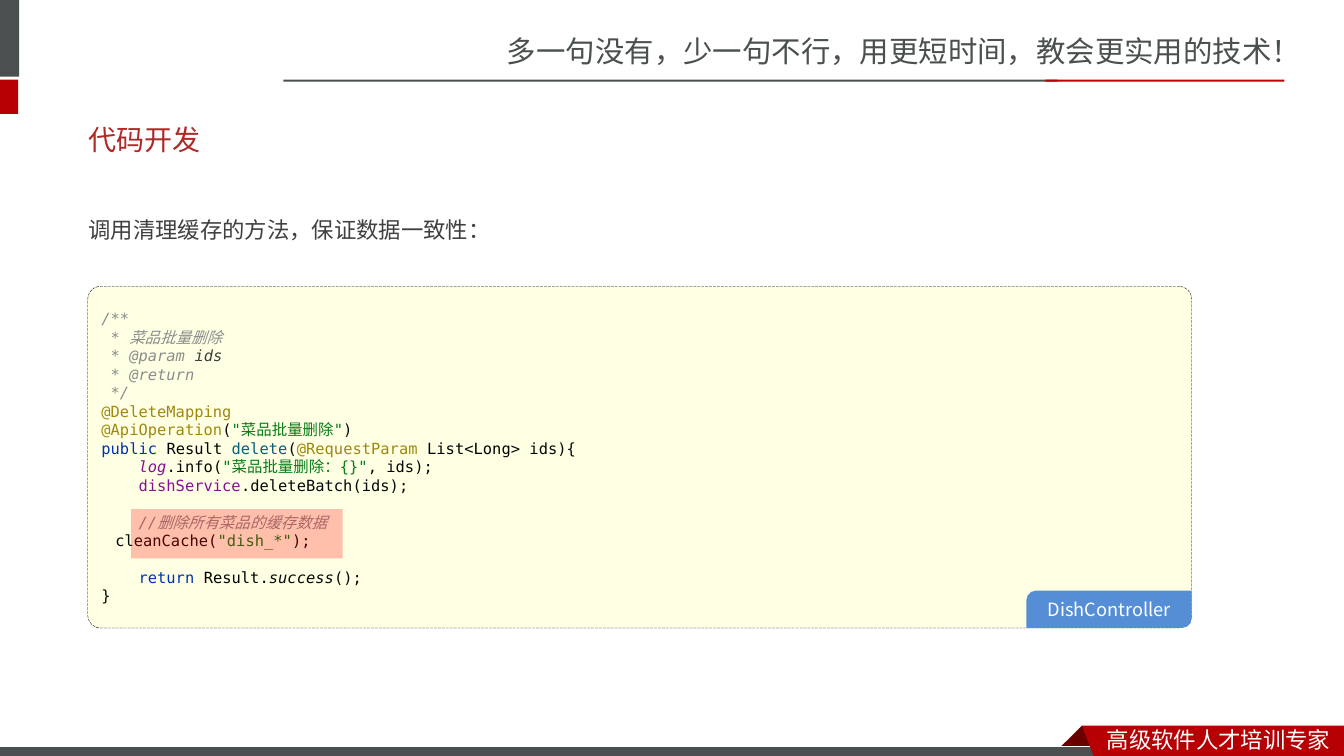
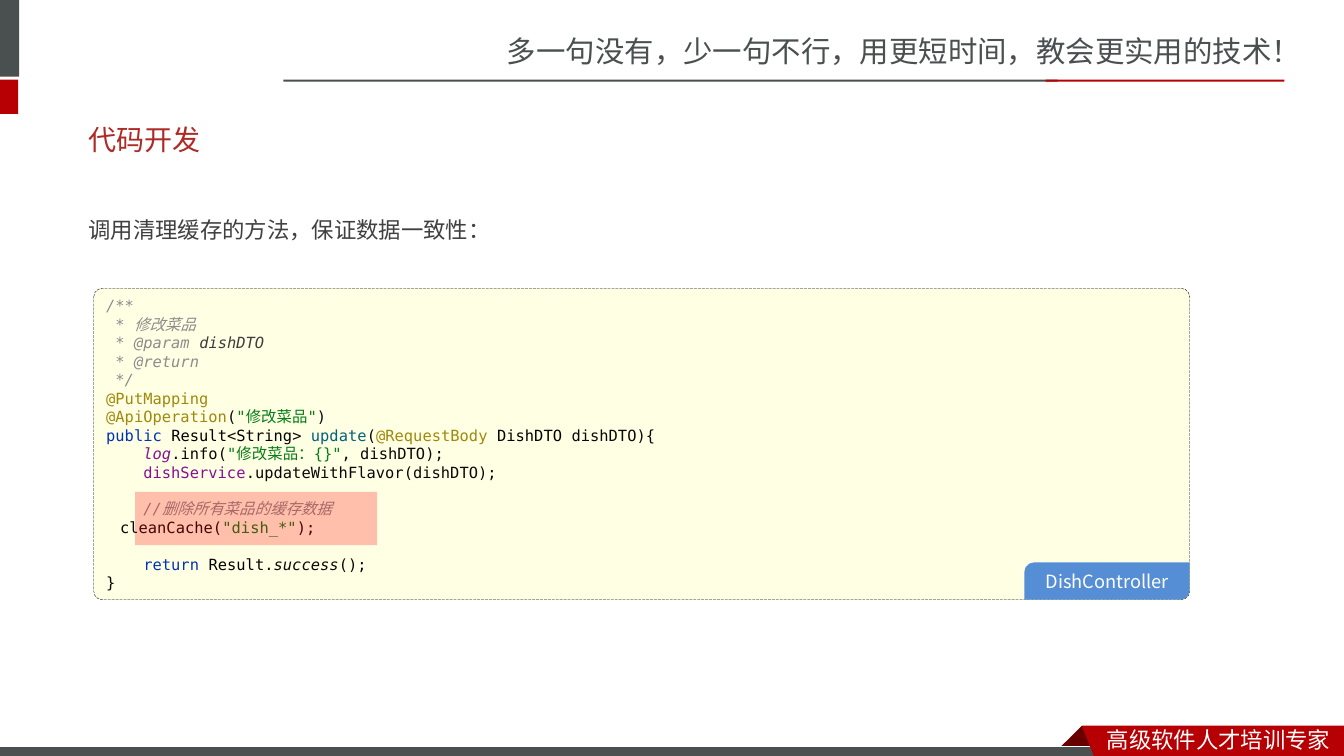
from lxml.etree import SubElement
from pptx import Presentation
from pptx.dml.color import RGBColor
from pptx.enum.dml import MSO_LINE
from pptx.enum.shapes import MSO_SHAPE as SHAPE
from pptx.enum.text import MSO_ANCHOR as ANCHOR, PP_ALIGN as ALIGN
from pptx.oxml.ns import qn
from pptx.util import Inches, Pt

SLATE = RGBColor(0x49, 0x50, 0x4F)
RED = RGBColor(0xB6, 0x00, 0x04)
MAROON = RGBColor(0x68, 0x00, 0x00)
BRICK = RGBColor(0xAD, 0x2A, 0x26)
WHITE = RGBColor(0xFF, 0xFF, 0xFF)
BLACK = RGBColor(0x00, 0x00, 0x00)
CREAM = RGBColor(0xFF, 0xFF, 0xE4)
BLUE = RGBColor(0x55, 0x8E, 0xD5)
MARK = RGBColor(0xFF, 0x00, 0x00)
TEXT = RGBColor(0x40, 0x40, 0x40)
INK = RGBColor(0x08, 0x08, 0x08)
GREY = RGBColor(0x8C, 0x8C, 0x8C)
DARK = RGBColor(0x3D, 0x3D, 0x3D)
OLIVE = RGBColor(0x9E, 0x88, 0x0D)
GREEN = RGBColor(0x06, 0x7D, 0x17)
NAVY = RGBColor(0x00, 0x33, 0xB3)
TEAL = RGBColor(0x00, 0x62, 0x7A)
PURPLE = RGBColor(0x87, 0x10, 0x94)

SANS, BODY, HEAD = "Noto Sans CJK SC", "Noto Sans CJK JP", "Roboto"
MONO = "DejaVu Sans Mono"

# Code styles: colour, italic, font
STYLES = {
    "doc": (GREY, True, MONO), "doczh": (GREY, True, SANS),
    "param": (DARK, True, MONO), "note": (OLIVE, False, MONO),
    "str": (GREEN, False, MONO), "strzh": (GREEN, False, SANS),
    "key": (NAVY, False, MONO), "type": (BLACK, False, MONO),
    "func": (TEAL, False, MONO), "field": (PURPLE, False, MONO),
    "log": (PURPLE, True, MONO), "call": (INK, True, MONO),
    "code": (INK, False, MONO), "pad": (INK, False, SANS),
}


def dress(font, name, size, color):
    """Set Latin and East Asian face, size and colour."""
    font.name, font.size = name, Pt(size)
    font.color.rgb = color
    SubElement(font._rPr, qn("a:ea"), typeface=name)


def paint(shape, fill, line=None):
    """Give a shape a flat fill, without shadow."""
    shape.shadow.inherit = False
    shape.fill.solid()
    shape.fill.fore_color.rgb = fill
    if line is None:
        shape.line.fill.background()
    else:
        shape.line.color.rgb = line
    return shape


prs = Presentation()
prs.slide_width, prs.slide_height = Inches(13.33), Inches(7.5)
layout = prs.slide_layouts[5]
for holder in list(layout.placeholders):
    if holder.placeholder_format.idx:
        layout.shapes.element.remove(holder.element)

# Header and footer: drawn on the first slide, then moved to the layout
first = prs.slides.add_slide(layout)
bands = [
    ((-0.06, 0, 0.25, 0.76), SLATE, None),
    ((-0.06, 0.79, 0.24, 0.34), RED, None),
    ((2.81, 0.79, 7.68, 0.02), SLATE, None),
    ((10.37, 0.79, 2.37, 0.02), RED, None),
    ((-0.01, 7.41, 11, 0.12), SLATE, WHITE),
]
fold = [(10.73, 7.2), (10.95, 7.42), (10.94, 7.43), (10.52, 7.43), (10.51, 7.42)]
ribbon = [(10.73, 7.2), (13.33, 7.2), (13.33, 7.54), (10.86, 7.53)]
labels = [
    ((4.93, 0.28, 8.41, 0.47), "多一句没有，少一句不行，用更短时间，教会更实用的技术！", 21, SLATE),
    ((10.88, 7.15, 2.45, 0.37), "高级软件人才培训专家", 16, WHITE),
]
outlines = []
for points, color in [(fold, MAROON), (ribbon, RED)]:
    start, *rest = [(Inches(x), Inches(y)) for x, y in points]
    pen = first.shapes.build_freeform(*start)
    pen.add_line_segments(rest, close=True)
    outlines.append(paint(pen.convert_to_shape(), color))
for spot, color, edge in bands:
    band = paint(first.shapes.add_shape(SHAPE.RECTANGLE, *map(Inches, spot)), color, edge)
    if edge is not None:
        band.line.width = Pt(0.75)
# The ribbon lies over the footer band
first.shapes.element.append(outlines[1].element)
for spot, words, size, color in labels:
    frame = first.shapes.add_textbox(*map(Inches, spot)).text_frame
    frame.word_wrap = True
    frame.text = words
    dress(frame.paragraphs[0].font, SANS, size, color)
for shape in list(first.shapes):
    if not shape.is_placeholder:
        layout.shapes.element.append(shape.element)

pages = [
    dict(name="菜品批量删除", arg="ids", verb="@DeleteMapping", call="deleteBatch",
         sign=[("type", "Result "), ("func", "delete"), ("code", "("),
               ("note", "@RequestParam "), ("type", "List"), ("code", "<"),
               ("type", "Long"), ("code", "> ids){")],
         panel=(0.87, 2.84, 10.95, 3.39), bend=0.038, mark=(1.3, 5.05, 2.1, 0.49)),
    dict(name="修改菜品", arg="dishDTO", verb="@PutMapping", call="updateWithFlavor",
         sign=[("type", "Result"), ("code", "<"), ("type", "String"), ("code", "> "),
               ("func", "update"), ("code", "("), ("note", "@RequestBody "),
               ("type", "DishDTO "), ("code", "dishDTO){")],
         panel=(0.93, 2.86, 10.87, 3.09), bend=0.028, mark=(1.34, 4.88, 2.4, 0.53)),
]
TAG_W, TAG_H = 1.64, 0.37
TAB = " " * 4

for page in pages:
    slide = first if page is pages[0] else prs.slides.add_slide(layout)
    shapes = slide.shapes
    name, arg = page["name"], page["arg"]

    title = shapes.title
    title.left, title.top = Inches(0.78), Inches(1.1)
    title.width, title.height = Inches(11.7), Inches(0.57)
    title.text_frame.text = "代码开发"
    title.text_frame.vertical_anchor = ANCHOR.MIDDLE
    para = title.text_frame.paragraphs[0]
    para.alignment = ALIGN.LEFT
    dress(para.font, HEAD, 20, BRICK)

    lead = shapes.add_textbox(Inches(0.78), Inches(1.83), Inches(11.59), Inches(0.56))
    lead.text_frame.word_wrap = True
    lead.text_frame.text = "调用清理缓存的方法，保证数据一致性："
    para = lead.text_frame.paragraphs[0]
    para.line_spacing = 2.0
    dress(para.font, BODY, 16, TEXT)

    left, top, width, height = page["panel"]
    panel = paint(shapes.add_shape(SHAPE.ROUNDED_RECTANGLE, *map(Inches, page["panel"])),
                  CREAM, BLACK)
    panel.adjustments[0] = page["bend"]
    panel.line.width = Pt(0.25)
    panel.line.dash_style = MSO_LINE.LONG_DASH
    frame = panel.text_frame
    frame.vertical_anchor = ANCHOR.MIDDLE

    # Each block is set off from the one before by a line's height
    blocks = [
        [
            [("doc", "/**")],
            [("doc", " * "), ("doczh", name)],
            [("doc", " * @param "), ("param", arg)],
            [("doc", " * @return")],
            [("doc", " */")],
            [("note", page["verb"])],
            [("note", "@ApiOperation"), ("code", "("), ("str", '"'), ("strzh", name),
             ("str", '"'), ("code", ")")],
            [("key", "public "), *page["sign"]],
            [("log", TAB + "log"), ("code", ".info("), ("str", '"'),
             ("strzh", name + "："), ("str", '{}"'), ("code", f", {arg});")],
            [("field", TAB + "dishService"), ("code", f".{page['call']}({arg});")],
        ],
        [
            [("doc", TAB + "//"), ("doczh", "删除所有菜品的缓存数据")],
            [("pad", TAB), ("code", "cleanCache("), ("str", '"dish_*"'), ("code", ");")],
        ],
        [
            [("key", TAB + "return "), ("type", "Result"), ("code", "."),
             ("call", "success"), ("code", "();")],
            [("code", "}")],
        ],
    ]
    para = frame.paragraphs[0]
    for b, block in enumerate(blocks):
        for n, line in enumerate(block):
            if b or n:
                para = frame.add_paragraph()
            para.alignment = ALIGN.LEFT
            if b and n == 0:
                para.space_before = Pt(13)
            for kind, words in line:
                color, slant, face = STYLES[kind]
                run = para.add_run()
                run.text = words
                run.font.italic = slant
                dress(run.font, face, 11, color)

    # The tag sits in the panel's lower right corner
    tag = paint(shapes.add_shape(
        SHAPE.ROUND_2_DIAG_RECTANGLE, Inches(left + width - TAG_W),
        Inches(top + height - TAG_H), Inches(TAG_W), Inches(TAG_H)), BLUE)
    tag.adjustments[0], tag.adjustments[1] = 0.257, 0
    frame = tag.text_frame
    frame.margin_left = frame.margin_right = frame.margin_top = frame.margin_bottom = 0
    frame.vertical_anchor = ANCHOR.MIDDLE
    frame.text = "DishController"
    frame.paragraphs[0].alignment = ALIGN.CENTER
    dress(frame.paragraphs[0].font, BODY, 13, WHITE)

    mark = paint(shapes.add_shape(SHAPE.RECTANGLE, *map(Inches, page["mark"])), MARK)
    SubElement(mark.element.find(".//" + qn("a:srgbClr")), qn("a:alpha"), val="25000")

prs.save("out.pptx")
